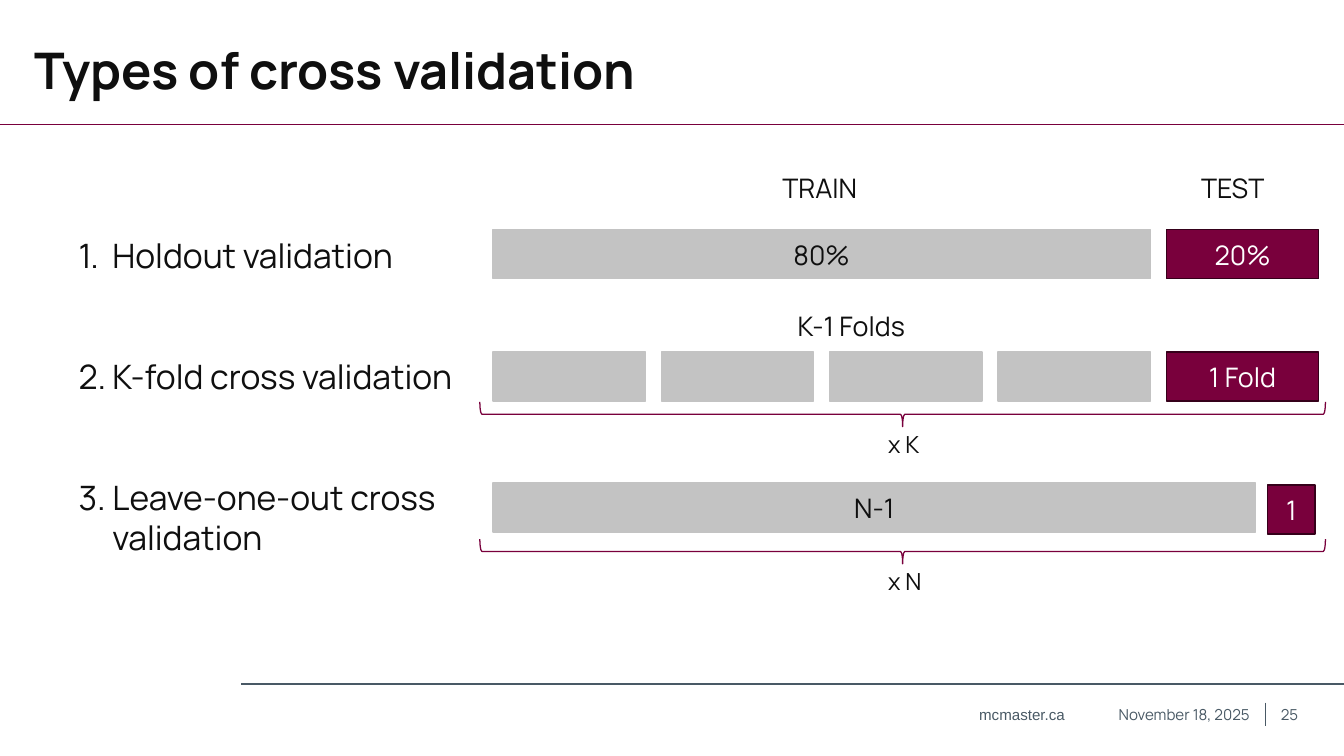
from dataclasses import dataclass

import pptx
import pptx.dml.color
import pptx.enum.shapes
import pptx.enum.text
import pptx.oxml.ns
import pptx.util
from lxml import etree

Cm = pptx.util.Cm
ALIGN = pptx.enum.text.PP_ALIGN
ANCHOR = pptx.enum.text.MSO_ANCHOR
SHAPE = pptx.enum.shapes.MSO_SHAPE


@dataclass(frozen=True)
class Theme:
    """Colours, fonts and type sizes of the slide."""
    ink: str = "0F0F0F"
    white: str = "FFFFFF"
    slate: str = "495965"
    maroon: str = "79003C"
    maroon_edge: str = "35001A"
    grey: str = "C3C3C3"
    font: str = "Manrope"
    address_font: str = "Arial"
    title: int = 60
    method: int = 40
    label: int = 32
    repeat: int = 28
    footer: int = 18


@dataclass(frozen=True)
class Box:
    """A rectangle in centimetres."""
    left: float
    top: float
    width: float
    height: float

    def inner(self, left, top, width, height):
        """Return a box placed relative to this one."""
        return Box(self.left + left, self.top + top, width, height)

    def lengths(self):
        """Return left, top, width and height as lengths."""
        return [Cm(value) for value in (self.left, self.top, self.width, self.height)]


THEME = Theme()
FOLDS = 5
FOLD_WIDTH = 6.4
FOLD_GAP = 0.67
FOLD_PITCH = FOLD_WIDTH + FOLD_GAP
TRAIN_WIDTH = (FOLDS - 1) * FOLD_PITCH - FOLD_GAP
TEST_LEFT = (FOLDS - 1) * FOLD_PITCH
BAR_HEIGHT = 2.06


def colour(value):
    """Turn a hex string into a colour."""
    return pptx.dml.color.RGBColor.from_string(value)


def write(shape, text, *, size, font=THEME.font, ink=THEME.ink, bold=False, align=ALIGN.LEFT,
          anchor=ANCHOR.TOP, wrap=True, line_spacing=None, gap=0, number_indent=0):
    """Write text into a shape, one paragraph per line."""
    frame = shape.text_frame
    frame.word_wrap = wrap
    frame.vertical_anchor = anchor
    frame.text = text
    for index, paragraph in enumerate(frame.paragraphs):
        if number_indent:
            properties = paragraph._p.get_or_add_pPr()
            properties.set("marL", str(Cm(number_indent)))
            properties.set("indent", str(-Cm(number_indent)))
            etree.SubElement(properties, pptx.oxml.ns.qn("a:buAutoNum"), type="arabicPeriod")
        paragraph.alignment = align
        paragraph.line_spacing = line_spacing
        paragraph.space_before = pptx.util.Pt(gap if index else 0)
        for run in paragraph.runs:
            run.font.name = font
            run.font.size = pptx.util.Pt(size)
            run.font.bold = bold
            run.font.color.rgb = colour(ink)


def add_text(slide, box, text, **text_format):
    """Add a text box."""
    write(slide.shapes.add_textbox(*box.lengths()), text, **text_format)


def add_line(slide, start, end, ink, weight):
    """Add a straight line without a shadow."""
    line = slide.shapes.add_connector(pptx.enum.shapes.MSO_CONNECTOR.STRAIGHT,
                                      *[Cm(value) for value in (*start, *end)])
    line.line.color.rgb = colour(ink)
    line.line.width = pptx.util.Pt(weight)
    etree.SubElement(line._element.spPr, pptx.oxml.ns.qn("a:effectLst"))


def add_bar(slide, box, text="", test=False):
    """Add a grey training bar or a maroon test bar."""
    bar = slide.shapes.add_shape(SHAPE.RECTANGLE, *box.lengths())
    bar.shadow.inherit = False
    bar.fill.solid()
    bar.fill.fore_color.rgb = colour(THEME.maroon if test else THEME.grey)
    bar.line.color.rgb = colour(THEME.maroon_edge if test else THEME.grey)
    bar.line.width = pptx.util.Pt(1.5)
    if text:
        write(bar, text, size=THEME.label, ink=THEME.white if test else THEME.ink,
              align=ALIGN.CENTER, anchor=ANCHOR.MIDDLE)


def add_repeat(slide, box, text):
    """Add a downward brace filling the box, with its label below."""
    upright = box.inner((box.width - box.height) / 2, (box.height - box.width) / 2,
                        box.height, box.width)
    brace = slide.shapes.add_shape(SHAPE.RIGHT_BRACE, *upright.lengths())
    brace.rotation = 90
    brace.shadow.inherit = False
    brace.fill.background()
    brace.line.color.rgb = colour(THEME.maroon)
    brace.line.width = pptx.util.Pt(1.5)
    add_text(slide, box.inner(16.9, 1.05, 2, 1.45), text, size=THEME.repeat, wrap=False)


def add_title(slide, box):
    """Add the title and the rule under it."""
    add_text(slide, box.inner(1.22, 1.27, 54, 2.06), "Types of cross validation",
             size=THEME.title, bold=True, line_spacing=1.1)
    bottom = box.top + box.height
    add_line(slide, (box.left, bottom), (box.left + box.width, bottom), THEME.maroon, 1.75)


def add_methods(slide, box):
    """Add the numbered list of methods."""
    methods = ["Holdout validation", "K-fold cross validation", "Leave-one-out cross\vvalidation"]
    add_text(slide, box, "\n".join(methods), size=THEME.method, gap=96, number_indent=1.42)


def add_holdout(slide, box):
    """Add the holdout row with its column headings."""
    for left, width, heading in ((11.91, 3.94, "TRAIN"), (29.49, 3.28, "TEST")):
        add_text(slide, box.inner(left, -2.56, width, 1.63), heading,
                 size=THEME.label, wrap=False)
    add_bar(slide, box.inner(0, 0, TRAIN_WIDTH, box.height), "80%")
    add_bar(slide, box.inner(TEST_LEFT, 0, FOLD_WIDTH, box.height), "20%", test=True)


def add_k_fold(slide, box):
    """Add the row of equal folds."""
    add_text(slide, box.inner(12.55, -1.9, 5.44, 1.63), "K-1 Folds",
             size=THEME.label, wrap=False)
    for fold in range(FOLDS):
        test = fold == FOLDS - 1
        add_bar(slide, box.inner(fold * FOLD_PITCH, 0, FOLD_WIDTH, box.height),
                "1 Fold" if test else "", test)
    add_repeat(slide, box.inner(-0.55, 2.1, 35.51, 1.04), "x K")


def add_leave_one_out(slide, box):
    """Add the row that leaves out one sample."""
    add_bar(slide, box.inner(0, 0, 32.03, box.height), "N-1")
    add_bar(slide, box.inner(32.54, 0.08, 1.98, box.height), "1", test=True)
    add_repeat(slide, box.inner(-0.55, 2.35, 35.51, 1.04), "x N")


def add_footer(slide, box):
    """Add the footer rule, address, date and page number."""
    right = box.left + box.width
    add_line(slide, (box.left, box.top), (right, box.top), THEME.slate, 1.75)
    add_line(slide, (right - 3.28, box.top + 0.78), (right - 3.28, box.top + 1.75),
             THEME.slate, 1)
    for left, width, text, font, align in (
            (30.74, 4.72, "mcmaster.ca", THEME.address_font, ALIGN.LEFT),
            (35.46, 7.14, "November 18, 2025", THEME.font, ALIGN.RIGHT),
            (43.41, 2.13, "25", THEME.font, ALIGN.LEFT)):
        add_text(slide, box.inner(left, 0.78, width, 0.97), text, size=THEME.footer,
                 font=font, ink=THEME.slate, align=align, anchor=ANCHOR.MIDDLE)


def main():
    """Build and save the slide."""
    presentation = pptx.Presentation()
    presentation.slide_width = Cm(56.44)
    presentation.slide_height = Cm(31.75)
    slide = presentation.slides.add_slide(presentation.slide_layouts[6])
    add_title(slide, Box(0, 0, 56.44, 5.23))
    add_methods(slide, Box(3.05, 9.75, 22.89, 13.94))
    for add_row, top in ((add_holdout, 9.65), (add_k_fold, 14.78), (add_leave_one_out, 20.29)):
        add_row(slide, Box(20.7, top, TEST_LEFT + FOLD_WIDTH, BAR_HEIGHT))
    add_footer(slide, Box(10.13, 28.73, 46.31, 3.02))
    presentation.save("out.pptx")


if __name__ == "__main__":
    main()
